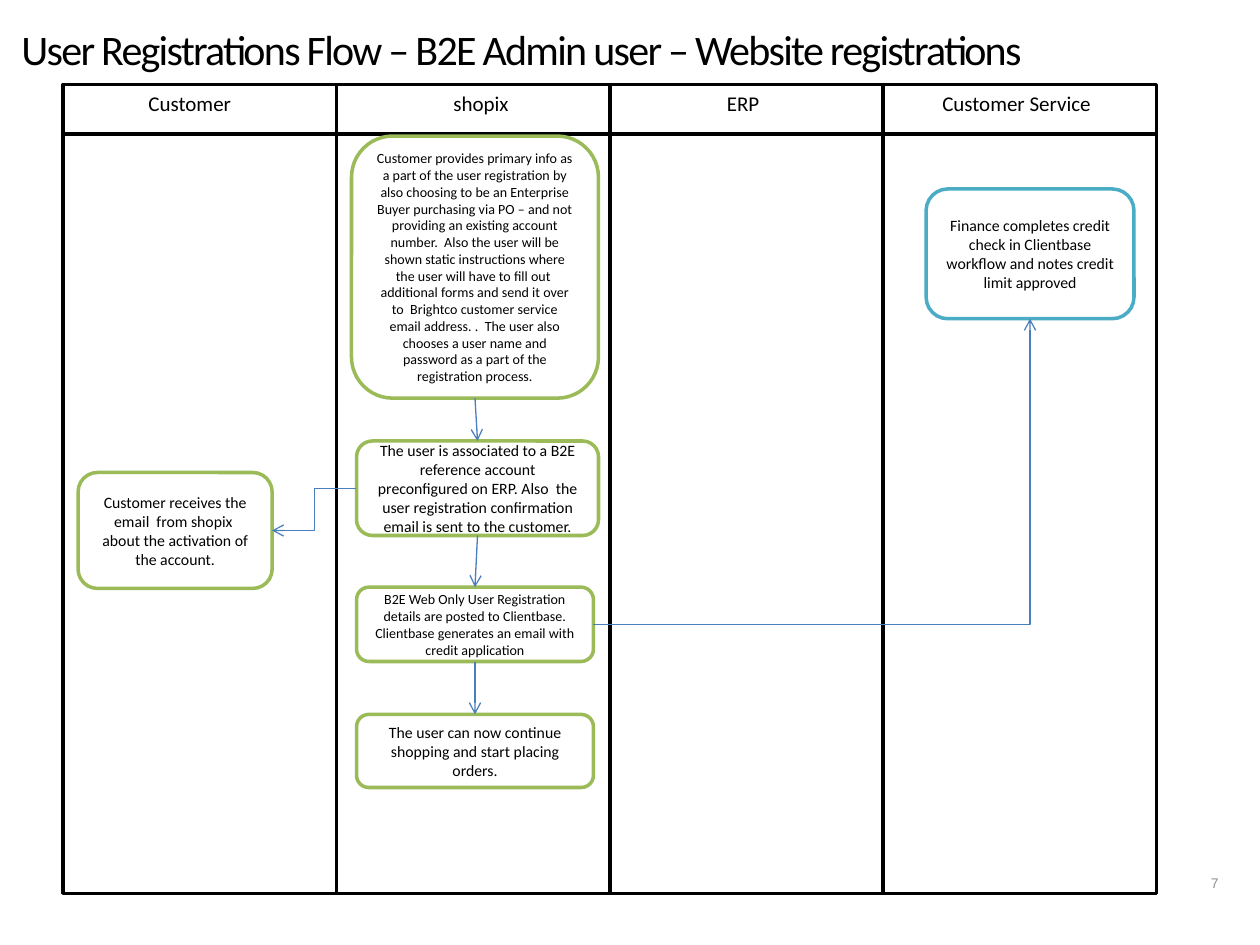
"""Build a swimlane slide of the user registration flow."""
import pptx
import pptx.chart.data
import pptx.dml.color
import pptx.enum.shapes
import pptx.enum.text
import pptx.oxml.ns
import pptx.util
from lxml import etree

Inches, Pt = pptx.util.Inches, pptx.util.Pt
ALIGN, ANCHOR = pptx.enum.text.PP_ALIGN, pptx.enum.text.MSO_ANCHOR
SHAPE, LINK = pptx.enum.shapes.MSO_SHAPE, pptx.enum.shapes.MSO_CONNECTOR

COLORS = {"black": "000000", "white": "FFFFFF", "green": "9BBB59",
          "teal": "4BACC6", "blue": "4B7EBC", "gray": "909190"}
TITLE = "User Registrations Flow – B2E Admin user – Website registrations"
LANES = [("Customer", 1.08, 1.42), ("shopix", 3.5, 0.96),
         ("ERP", 5.67, 0.83), ("Customer Service", 7.38, 1.42)]
LEFT, TOP, WIDTH, HEIGHT, RULE = 0.5, 0.67, 2.17, 6.42, 1.06
STEPS = {
    "signup": ("Customer provides primary info as a part of the user registration by "
               "also choosing to be an Enterprise Buyer purchasing via PO – and not "
               "providing an existing account number.  Also the user will be shown "
               "static instructions where the user will have to fill out  additional "
               "forms and send it over to  Brightco customer service email address. .  "
               "The user also chooses a user name and password as a part of the "
               "registration process.", 8, "green", (2.79, 1.08, 1.96, 2.08)),
    "credit": ("Finance completes credit check in Clientbase workflow and notes credit "
               "limit approved", 9, "teal", (7.35, 1.5, 1.65, 1.03)),
    "post": ("B2E Web Only User Registration details are posted to Clientbase. "
             "Clientbase generates an email with credit application",
             8, "green", (2.83, 4.66, 1.88, 0.59)),
    "shop": ("The user can now continue shopping and start placing orders.",
             9, "green", (2.83, 5.67, 1.88, 0.58)),
    "email": ("Customer receives the email  from shopix  about the activation of the "
              "account.", 9, "green", (0.62, 3.75, 1.54, 0.92)),
    "account": ("The user is associated to a B2E reference account preconfigured on "
                "ERP. Also  the user registration confirmation email is sent to the "
                "customer.", 9, "green", (2.83, 3.5, 1.92, 0.75)),
}
UP, WEST, DOWN, EAST = range(4)
LINKS = [("signup", DOWN, "account", UP, "line"),
         ("account", DOWN, "post", UP, "line"),
         ("post", DOWN, "shop", UP, "line"),
         ("post", EAST, "credit", DOWN, "bentConnector2"),
         ("account", WEST, "email", EAST, "bentConnector3")]


def tint(name):
    return pptx.dml.color.RGBColor.from_string(COLORS[name])


def write(shape, text, size, align=ALIGN.LEFT, color="black", face="Calibri"):
    frame = shape.text_frame
    frame.word_wrap = True
    frame.text = text
    para = frame.paragraphs[0]
    para.alignment = align
    para.font.size, para.font.name = Pt(size), face
    para.font.color.rgb = tint(color)
    return frame


def label(text, box, *style):
    shape = slide.shapes.add_textbox(*map(Inches, box))
    write(shape, text, *style)


def block(kind, box, color):
    shape = slide.shapes.add_shape(kind, *map(Inches, box))
    shape.shadow.inherit = False
    shape.fill.solid()
    shape.fill.fore_color.rgb = tint("white")
    shape.line.color.rgb, shape.line.width = tint(color), Pt(2)
    return shape


def join(kind, ends, color, width):
    line = slide.shapes.add_connector(kind, *map(Inches, ends))
    line.line.color.rgb, line.line.width = tint(color), Pt(width)
    etree.SubElement(line._element.spPr, pptx.oxml.ns.qn("a:effectLst"))
    return line


deck = pptx.Presentation()
deck.slide_width, deck.slide_height = Inches(10), Inches(7.5)
slide = deck.slides.add_slide(deck.slide_layouts[5])

title = slide.shapes.title
title.left, title.top, title.width, title.height = map(Inches, (0.17, -0.17, 9.33, 0.76))
frame = write(title, TITLE, 24)
frame.vertical_anchor = ANCHOR.BOTTOM
frame.margin_left = frame.margin_top = frame.margin_right = frame.margin_bottom = 0
frame.paragraphs[0].runs[0].font._element.set("spc", "-100")

label("7", (7.26, 6.89, 2.51, 0.38), 8, ALIGN.RIGHT, "gray", "Arial")

for i, (name, x, w) in enumerate(LANES):
    left = LEFT + i * WIDTH
    block(SHAPE.RECTANGLE, (left, TOP, WIDTH, HEIGHT), "black")
    label(name, (x, TOP, w, 0.3), 12)
    join(LINK.STRAIGHT, (left, RULE, left + WIDTH, RULE), "black", 2.25)

nodes = {}
for key, (text, size, color, box) in STEPS.items():
    nodes[key] = block(SHAPE.ROUNDED_RECTANGLE, box, color)
    write(nodes[key], text, size, ALIGN.CENTER).vertical_anchor = ANCHOR.MIDDLE

for start, out, end, into, form in LINKS:
    kind = LINK.STRAIGHT if form == "line" else LINK.ELBOW
    line = join(kind, (0, 0, 0, 0), "blue", 0.75)
    line.begin_connect(nodes[start], out)
    line.end_connect(nodes[end], into)
    line._element.spPr.find(pptx.oxml.ns.qn("a:prstGeom")).set("prst", form)
    tip = etree.SubElement(line.line._get_or_add_ln(), pptx.oxml.ns.qn("a:tailEnd"))
    tip.set("type", "arrow")

deck.save("out.pptx")
